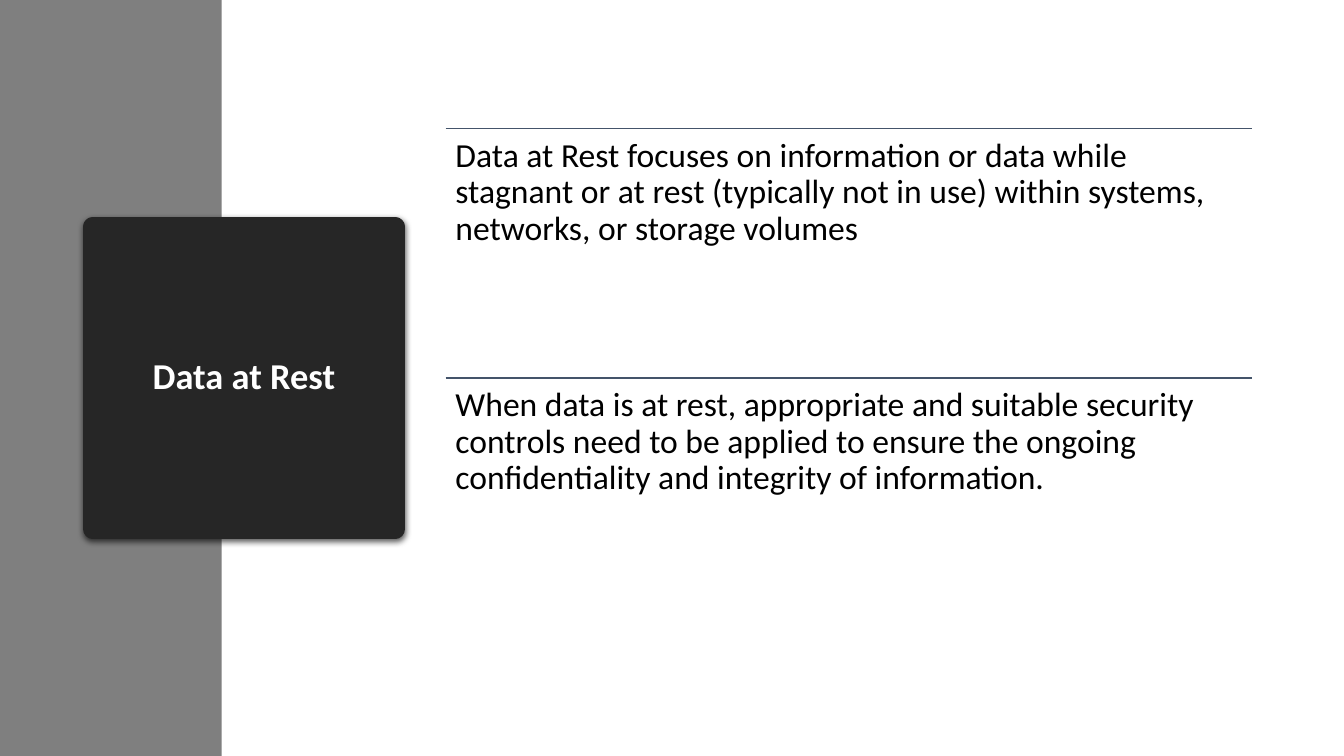
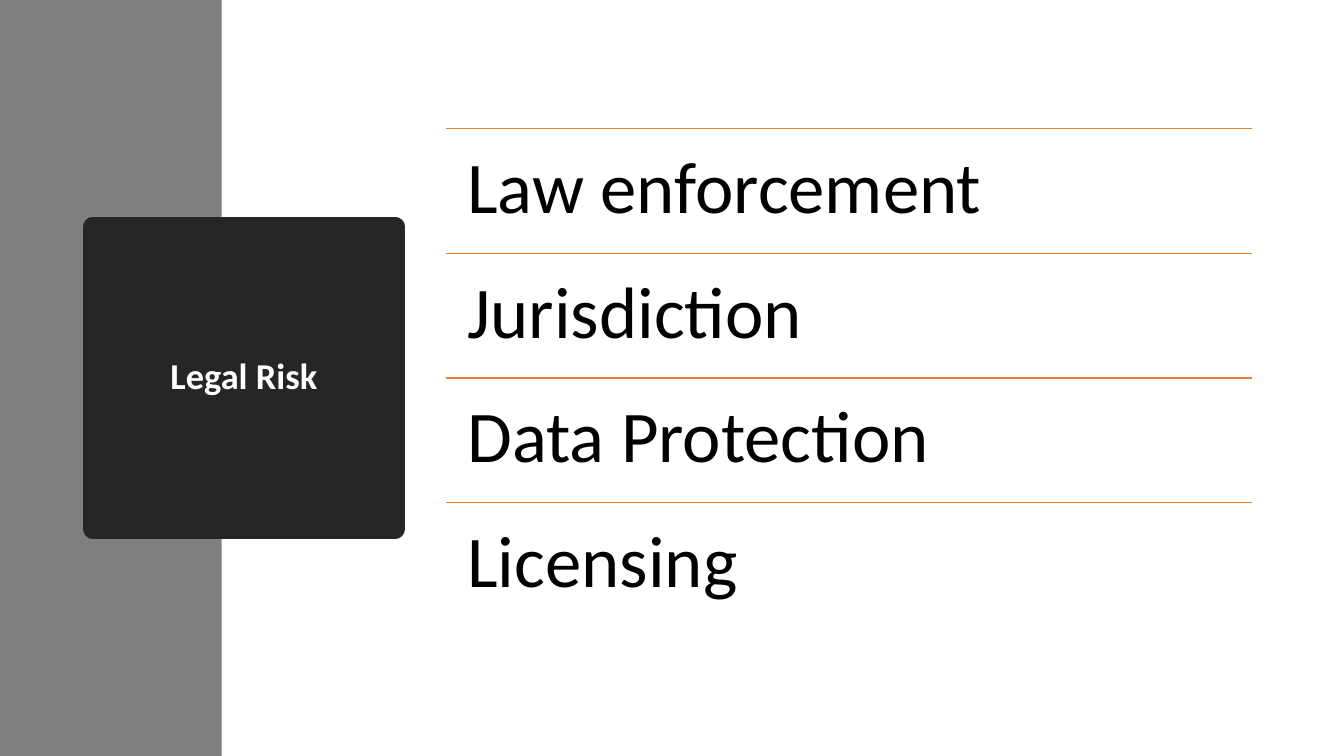
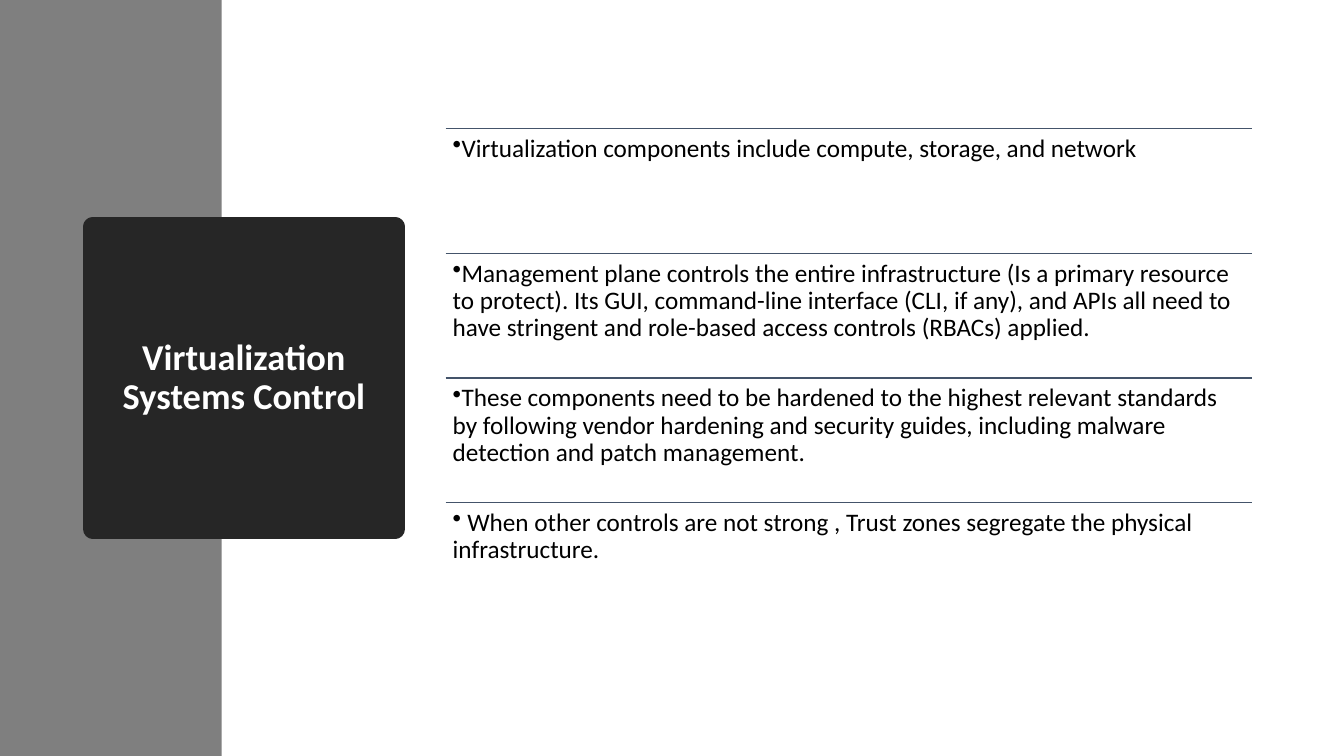
"""Builds three topic slides: a dark title badge beside a ruled list of points."""
from dataclasses import dataclass

from lxml.etree import SubElement
from pptx import Presentation
from pptx.dml.color import RGBColor
from pptx.enum.shapes import MSO_CONNECTOR as Connector, MSO_SHAPE as Preset
from pptx.enum.text import MSO_ANCHOR as Anchor, PP_ALIGN as Align
from pptx.oxml.ns import qn
from pptx.shapes.autoshape import Shape
from pptx.slide import Slide
from pptx.util import Cm, Pt

COLORS = {
    "band": "7F7F7F",
    "badge": "262626",
    "title": "FFFFFF",
    "text": "000000",
    "slate": "44546A",
    "orange": "ED7D31",
    "shadow": "000000",
}
FONT = "Calibri"
SLIDE_WIDTH, SLIDE_HEIGHT = 33.87, 19.05
BAND_WIDTH = 5.59
BADGE_LEFT, BADGE_SIDE = 2.34, 7.62
LIST_LEFT, LIST_WIDTH, LIST_HEIGHT = 11.23, 20.32, 12.56
LIST_TOP = (SLIDE_HEIGHT - LIST_HEIGHT) / 2


@dataclass(frozen=True)
class Topic:
    title: str
    points: tuple[str, ...]
    size: int
    inset: float
    rule: str = "slate"
    bulleted: bool = False
    shadowed: bool = False


TOPICS = (
    Topic(
        "Data at Rest",
        (
            "Data at Rest focuses on information or data while stagnant or at rest "
            "(typically not in use) within systems, networks, or storage volumes",
            "When data is at rest, appropriate and suitable security controls need to be "
            "applied to ensure the ongoing confidentiality and integrity of information.",
        ),
        size=24, inset=0.25, shadowed=True,
    ),
    Topic(
        "Legal Risk",
        ("Law enforcement", "Jurisdiction", "Data Protection", "Licensing"),
        size=52, inset=0.55, rule="orange",
    ),
    Topic(
        "Virtualization Systems Control",
        (
            "Virtualization components include compute, storage, and network",
            "Management plane controls the entire infrastructure (Is a primary resource "
            "to protect). Its GUI, command-line interface (CLI, if any), and APIs all need "
            "to have stringent and role-based access controls (RBACs) applied.",
            "These components need to be hardened to the highest relevant standards by "
            "following vendor hardening and security guides, including malware detection "
            "and patch management.",
            " When other controls are not strong , Trust zones segregate the physical "
            "infrastructure.",
        ),
        size=18, inset=0.18, bulleted=True,
    ),
)


def rgb(name: str) -> RGBColor:
    return RGBColor.from_string(COLORS[name])


def write(shape: Shape, text: str, size: int, color: str,
          bold: bool = False, bulleted: bool = False) -> None:
    shape.text_frame.word_wrap = True
    paragraph = shape.text_frame.paragraphs[0]
    paragraph.text = text
    paragraph.line_spacing = 0.9
    paragraph.alignment = Align.CENTER if bold else Align.LEFT
    if bulleted:
        properties = paragraph._p.get_or_add_pPr()
        properties.set("marL", "0")
        properties.set("indent", "0")
        SubElement(properties, qn("a:buChar"), char="•")
    font = paragraph.font
    font.name, font.size, font.bold = FONT, Pt(size), bold
    font.color.rgb = rgb(color)


def add_block(slide: Slide, left: float, top: float, width: float, height: float,
              color: str) -> Shape:
    block = slide.shapes.add_shape(Preset.RECTANGLE, Cm(left), Cm(top), Cm(width), Cm(height))
    block.shadow.inherit = False
    block.fill.solid()
    block.fill.fore_color.rgb = rgb(color)
    block.line.fill.background()
    return block


def add_badge(slide: Slide, topic: Topic) -> None:
    badge = add_block(slide, BADGE_LEFT, (SLIDE_HEIGHT - BADGE_SIDE) / 2,
                      BADGE_SIDE, BADGE_SIDE, "badge")
    badge.line.color.rgb = rgb("badge")
    badge.line.width = Pt(13.75)
    properties = badge.element.spPr
    SubElement(properties.find(qn("a:ln")), qn("a:round"))
    if topic.shadowed:
        shadow = SubElement(properties.find(qn("a:effectLst")), qn("a:outerShdw"),
                            blurRad=str(Pt(4.5)), dist=str(Pt(1.5)), dir="5400000",
                            algn="ctr", rotWithShape="0")
        tint = SubElement(shadow, qn("a:srgbClr"), val=COLORS["shadow"])
        SubElement(tint, qn("a:alpha"), val="63000")
    badge.text_frame.vertical_anchor = Anchor.MIDDLE
    write(badge, topic.title, 26, "title", bold=True)


def add_rule(slide: Slide, top: float, color: str) -> None:
    rule = slide.shapes.add_connector(Connector.STRAIGHT, Cm(LIST_LEFT), Cm(top),
                                      Cm(LIST_LEFT + LIST_WIDTH), Cm(top))
    rule.line.color.rgb = rgb(color)
    rule.line.width = Pt(1)
    SubElement(rule.element.spPr, qn("a:effectLst"))


def add_points(slide: Slide, topic: Topic) -> None:
    row_height = LIST_HEIGHT / len(topic.points)
    for row, text in enumerate(topic.points):
        top = LIST_TOP + row * row_height
        add_rule(slide, top, topic.rule)
        point = slide.shapes.add_textbox(Cm(LIST_LEFT), Cm(top), Cm(LIST_WIDTH), Cm(row_height))
        frame = point.text_frame
        frame.margin_left = frame.margin_right = Cm(topic.inset)
        frame.margin_top = frame.margin_bottom = Cm(topic.inset)
        write(point, text, topic.size, "text", bulleted=topic.bulleted)


def main() -> None:
    deck = Presentation()
    deck.slide_width, deck.slide_height = Cm(SLIDE_WIDTH), Cm(SLIDE_HEIGHT)
    for topic in TOPICS:
        slide = deck.slides.add_slide(deck.slide_layouts[6])
        add_block(slide, 0, 0, BAND_WIDTH, SLIDE_HEIGHT, "band")
        add_badge(slide, topic)
        add_points(slide, topic)
    deck.save("out.pptx")


if __name__ == "__main__":
    main()
